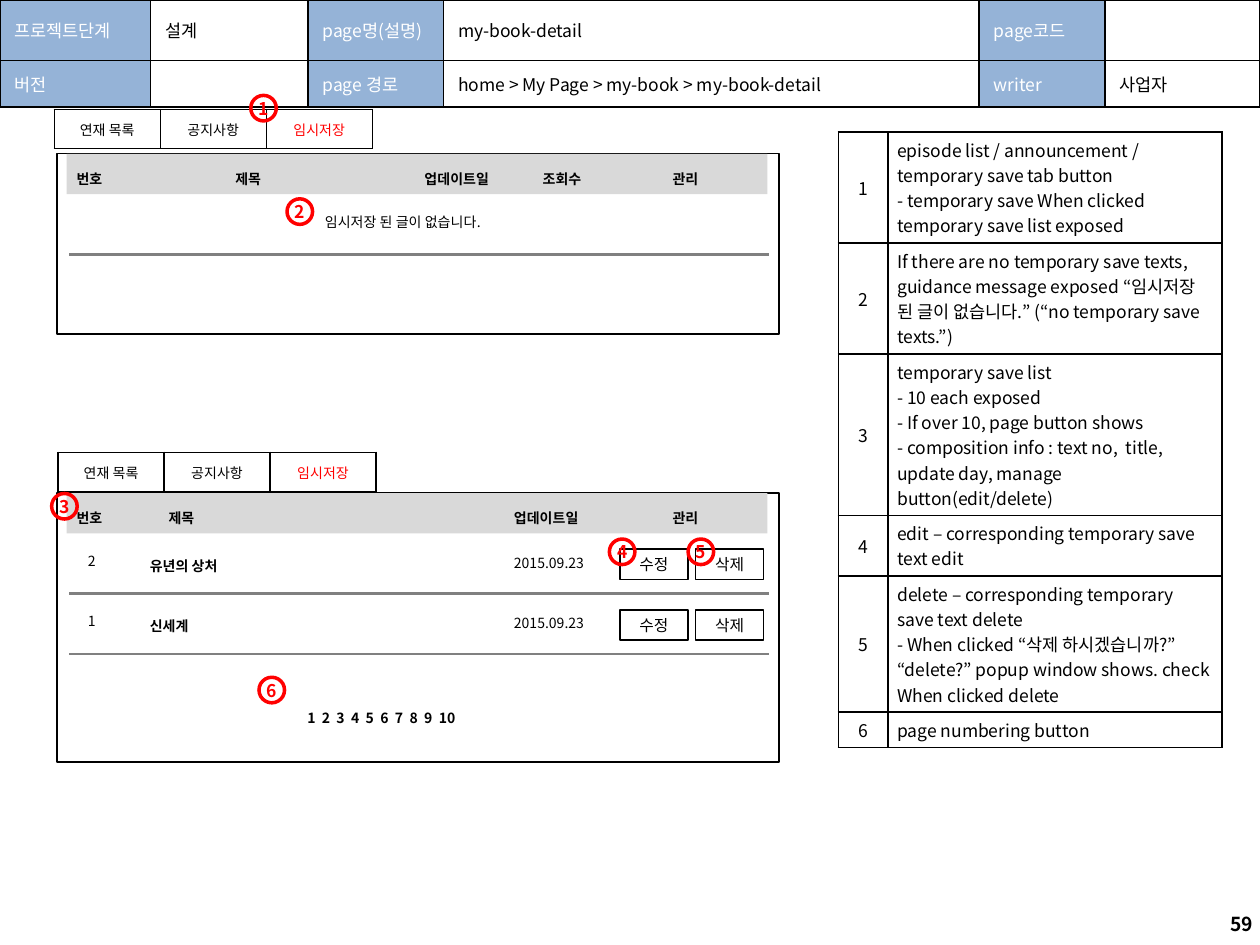
import pptx
import pptx.util
import pptx.dml.color
import pptx.enum.shapes
import pptx.enum.text
import pptx.oxml.ns
import lxml.etree

Pt = pptx.util.Pt
Shape = pptx.enum.shapes.MSO_SHAPE
Line = pptx.enum.shapes.MSO_CONNECTOR
Align = pptx.enum.text.PP_ALIGN
Anchor = pptx.enum.text.MSO_ANCHOR
Fit = pptx.enum.text.MSO_AUTO_SIZE
qn = pptx.oxml.ns.qn


def color(code):
    return pptx.dml.color.RGBColor.from_string(code)


def child(node, tag, **attrs):
    return lxml.etree.SubElement(node, qn(tag), attrs)


class Page:
    font = "Noto Sans CJK KR"
    black, white, red = "000000", "FFFFFF", "FF0000"
    blue, band, gray = "95B3D7", "D9D9D9", "808080"

    def __init__(self, slide):
        self.slide = slide
        self.shapes = slide.shapes

    def put(self, frame, text, size, ink=black, bold=False, align=Align.LEFT):
        para = frame.paragraphs[0]
        para.alignment = align
        for num, line in enumerate(text.split("\n")):
            if num:
                para.add_line_break()
            run = para.add_run()
            run.text = line
            run.font.size = Pt(size)
            run.font.bold = bold
            run.font.name = self.font
            run.font.color.rgb = color(ink)
            child(run._r.get_or_add_rPr(), "a:ea", typeface=self.font)
        return para

    def text(self, x, y, w, h, text, size=8, wrap=True, grow=False, mid=False,
             space=None, **style):
        frame = self.shapes.add_textbox(Pt(x), Pt(y), Pt(w), Pt(h)).text_frame
        frame.word_wrap = wrap
        frame.auto_size = Fit.SHAPE_TO_FIT_TEXT if grow else Fit.NONE
        frame.vertical_anchor = Anchor.MIDDLE if mid else Anchor.TOP
        para = self.put(frame, text, size, **style)
        if space:
            para.line_spacing = space
        return para

    def label(self, x, y, w, text, wrap=False):
        self.text(x, y, w, 20, text, wrap=wrap, grow=True, space=1.5, bold=True)

    def box(self, x, y, w, h, fill=None, line=None, width=1, kind=Shape.RECTANGLE):
        shape = self.shapes.add_shape(kind, Pt(x), Pt(y), Pt(w), Pt(h))
        shape.shadow.inherit = False
        if fill:
            shape.fill.solid()
            shape.fill.fore_color.rgb = color(fill)
        else:
            shape.fill.background()
        if line:
            shape.line.color.rgb = color(line)
            shape.line.width = Pt(width)
        else:
            shape.line.fill.background()
        shape.text_frame.vertical_anchor = Anchor.MIDDLE
        return shape

    def button(self, x, y, text):
        shape = self.box(x, y, 39, 17.3, line=self.black)
        self.put(shape.text_frame, text, 9, align=Align.CENTER)

    def mark(self, x, y, text):
        shape = self.box(x, y, 14.6, 14.6, line=self.red, width=2, kind=Shape.OVAL)
        frame = shape.text_frame
        frame.word_wrap = False
        frame.margin_left = frame.margin_right = 0
        frame.margin_top = frame.margin_bottom = 0
        self.put(frame, text, 10, self.red, True, Align.CENTER)

    def rule(self, y):
        line = self.shapes.add_connector(Line.STRAIGHT, Pt(39.5), Pt(y), Pt(439.2), Pt(y))
        line.line.color.rgb = color(self.gray)
        line.line.width = Pt(1.5)
        child(line._element.spPr, "a:effectLst")

    def cell(self, cell, text, size, inset, fill=None, **style):
        cell.vertical_anchor = Anchor.MIDDLE
        cell.margin_left = cell.margin_right = Pt(inset[0])
        cell.margin_top = cell.margin_bottom = Pt(inset[1])
        props = cell._tc.get_or_add_tcPr()
        for side in "LRTB":
            edge = child(props, "a:ln" + side, w=str(Pt(1)))
            child(child(edge, "a:solidFill"), "a:srgbClr", val=self.black)
        if fill:
            cell.fill.solid()
            cell.fill.fore_color.rgb = color(fill)
        else:
            cell.fill.background()
        if text:
            self.put(cell.text_frame, text, size, **style)
        else:
            child(cell.text_frame.paragraphs[0]._p, "a:endParaRPr", sz=str(size * 100))

    def table(self, x, y, cols, rows, data, look, size, inset, height=None):
        total = height or sum(rows)
        frame = self.shapes.add_table(len(rows), len(cols), Pt(x), Pt(y),
                                      Pt(sum(cols)), Pt(total))
        grid = frame.table
        grid.first_row = grid.horz_banding = False
        for col, width in zip(grid.columns, cols):
            col.width = Pt(width)
        for row, tall in zip(grid.rows, rows):
            row.height = Pt(tall)
        for r, line in enumerate(data):
            for c, text in enumerate(line):
                self.cell(grid.cell(r, c), text, size, inset, **look(c))
        frame.height = Pt(total)

    def tabs(self, x, y):
        def look(col):
            return {"align": Align.CENTER, "ink": self.red if col == 2 else self.black,
                    "fill": self.white if col == 0 else None}
        self.table(x, y, [60.6] * 3, [22.3], [["연재 목록", "공지사항", "임시저장"]],
                   look, 8, (2.9, 3.6))

    def panel(self, y, h, heads):
        self.box(32.5, y, 412.5, h, line=self.black)
        self.box(38, y + 0.3, 400.5, 23, fill=self.band)
        for x, w, text in heads:
            self.label(x, y + 1.3, w, text)


def main():
    deck = pptx.Presentation()
    deck.slide_width, deck.slide_height = Pt(720), Pt(540)
    page = Page(deck.slides.add_slide(deck.slide_layouts[6]))

    # Page header
    def head(col):
        if col % 2 == 0:
            return {"fill": page.blue, "ink": page.white}
        return {}
    page.table(0, 0, [86, 90, 77.5, 306, 72, 88.5], [27.5, 26.5], [
        ["프로젝트단계", "설계", "page명(설명)", "my-book-detail", "page코드", ""],
        ["버전", "", "page 경로", "home > My Page > my-book > my-book-detail",
         "writer", "사업자"],
    ], head, 10, (8.4, 2.9))

    # Numbered notes
    notes = [
        "episode list / announcement / temporary save tab button\n"
        "- temporary save When clicked temporary save list exposed",
        "If there are no temporary save texts, guidance message exposed "
        "“임시저장 된 글이 없습니다.” (“no temporary save texts.”)",
        "temporary save list\n- 10 each exposed\n- If over 10, page button shows\n"
        "- composition info : text no,  title, update day, manage button(edit/delete)",
        "edit – corresponding temporary save text edit",
        "delete – corresponding temporary save text delete\n"
        "- When clicked “삭제 하시겠습니까?” “delete?” popup window shows. "
        "check When clicked delete",
        "page numbering button",
    ]
    page.table(479, 75.5, [28.4, 191], [12.2] * 6,
               [[str(n), note] for n, note in enumerate(notes, 1)],
               lambda col: {"align": Align.LEFT if col else Align.CENTER},
               10, (5.4, 2.9), height=298)

    # Page number
    page.text(555, 513.5, 168, 29, "59", 11, mid=True, bold=True, align=Align.RIGHT)

    # Empty list
    page.panel(87.7, 103, [(36.7, 30, "번호"), (127.4, 30, "제목"), (303, 37.5, "조회수"),
                           (235.5, 52.5, "업데이트일"), (377.3, 30, "관리")])
    page.text(178.6, 119, 130, 16, "임시저장 된 글이 없습니다.", mid=True)
    page.rule(145.3)
    page.tabs(31, 62.7)

    # Filled list
    page.panel(281.5, 154, [(36.7, 30, "번호"), (89.3, 30, "제목"),
                            (286.6, 52.5, "업데이트일"), (377.3, 30, "관리")])
    page.tabs(33.2, 258.5)
    for n, (num, name) in enumerate([("2", "유년의 상처"), ("1", "신세계")]):
        y = 312.5 + n * 34.5
        page.text(43.2, y, 130, 16, num, mid=True)
        page.label(78.5, y - 2.2, 140, name, wrap=True)
        date = page.box(286.6, y, 56, 18, fill=page.white)
        page.put(date.text_frame, "2015.09.23", 8)
        page.rule(y + 26.7)
        page.button(354.2, y + 1.4, "수정")
        page.button(397.4, y + 1.4, "삭제")

    # Page links, evenly tabbed
    links = page.text(168.5, 401.8, 118, 17, "\t".join(str(n) for n in range(1, 11)),
                      wrap=False, grow=True, bold=True)
    stops = child(links._p.get_or_add_pPr(), "a:tabLst")
    for n in range(1, 10):
        child(stops, "a:tab", pos=str(Pt(8.35 * n)), algn="l")

    # Red markers
    spots = [(143.3, 54.5), (164, 113.6), (29.5, 282),
             (348.2, 308), (393.2, 308), (148, 387)]
    for n, (x, y) in enumerate(spots, 1):
        page.mark(x, y, str(n))

    deck.save("out.pptx")


if __name__ == "__main__":
    main()
